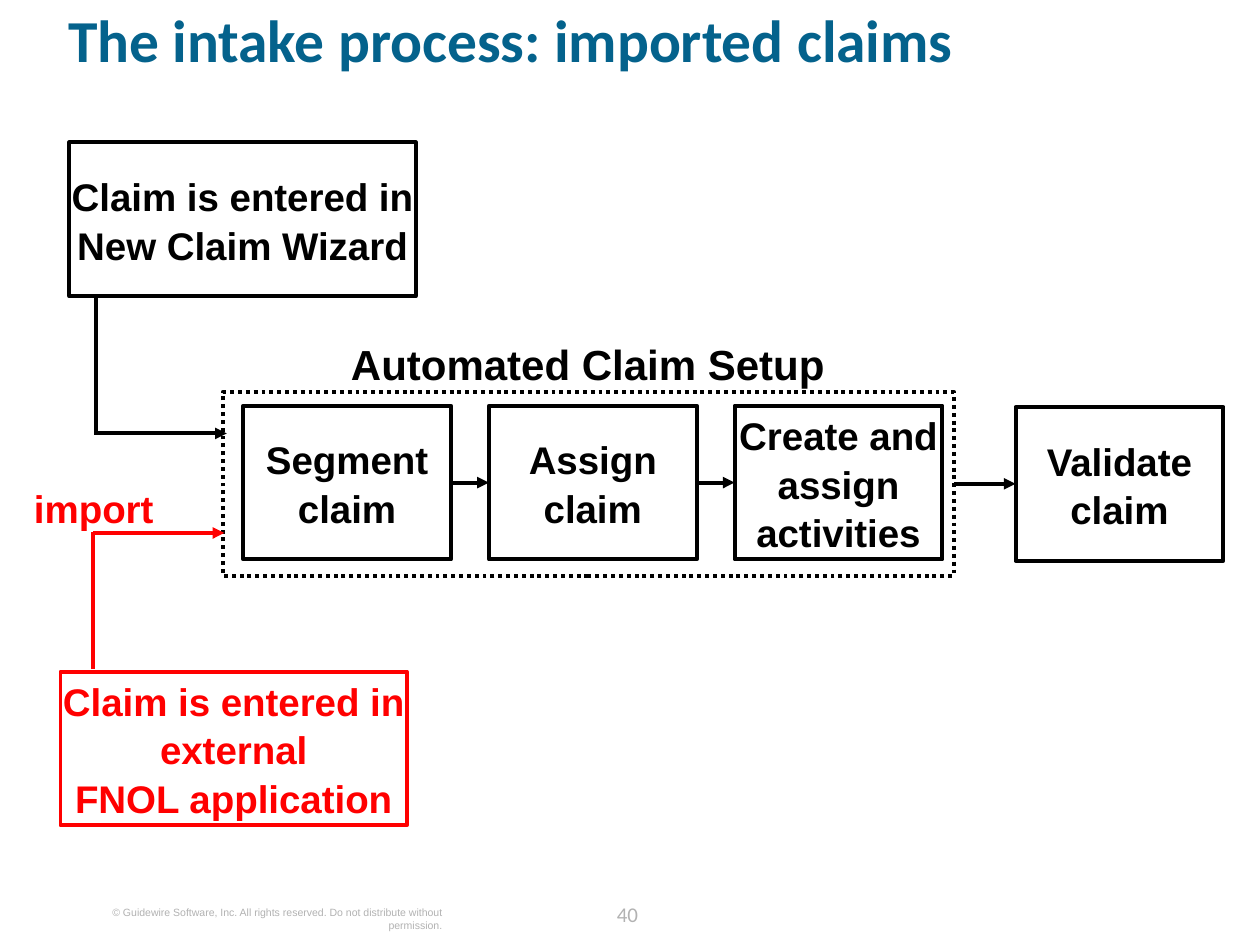
"""Builds the slide on the intake process for imported claims."""
from lxml import etree
from pptx import Presentation
from pptx.dml.color import RGBColor
from pptx.enum.dml import MSO_LINE
from pptx.enum.shapes import MSO_CONNECTOR, MSO_SHAPE
from pptx.enum.text import MSO_ANCHOR, PP_ALIGN
from pptx.oxml.ns import qn
from pptx.util import Inches, Pt

RECTANGLE = MSO_SHAPE.RECTANGLE
STRAIGHT = MSO_CONNECTOR.STRAIGHT
DOTTED = MSO_LINE.ROUND_DOT
TOP, MIDDLE = MSO_ANCHOR.TOP, MSO_ANCHOR.MIDDLE
LEFT, CENTER, RIGHT = PP_ALIGN.LEFT, PP_ALIGN.CENTER, PP_ALIGN.RIGHT
BLACK = RGBColor(0x00, 0x00, 0x00)
WHITE = RGBColor(0xFF, 0xFF, 0xFF)
RED = RGBColor(0xFF, 0x00, 0x00)
BLUE = RGBColor(0x04, 0x62, 0x8C)
GRAY = RGBColor(0xB2, 0xB2, 0xB2)
LINE_WIDTH = Pt(2.25)
RIGHT_SIDE, LEFT_SIDE = 3, 1


def write(shape, text, size, color, align, anchor=MIDDLE, font="Arial", bold=True, spacing=1.05):
    frame = shape.text_frame
    frame.word_wrap = True
    frame.vertical_anchor = anchor
    frame.margin_left = frame.margin_right = frame.margin_top = frame.margin_bottom = 0
    frame.text = text
    paragraph = frame.paragraphs[0]
    paragraph.alignment = align
    paragraph.line_spacing = spacing
    for run in paragraph.runs:
        run.font.name = font
        run.font.size = Pt(size)
        run.font.bold = bold
        run.font.color.rgb = color


def draw_line(start, end, color=BLACK, arrow=True):
    connector = slide.shapes.add_connector(
        STRAIGHT, *(Inches(value) for value in start + end))
    connector.line.color.rgb = color
    connector.line.width = LINE_WIDTH
    if arrow:
        etree.SubElement(connector.line._get_or_add_ln(), qn("a:tailEnd"), type="triangle")
    etree.SubElement(connector._element.spPr, qn("a:effectLst"))
    return connector


prs = Presentation()
prs.slide_width, prs.slide_height = Inches(10), Inches(7.5)
slide = prs.slides.add_slide(prs.slide_layouts[5])

title = slide.shapes.title
title.left, title.top, title.width, title.height = (
    Inches(0.54), Inches(0.13), Inches(9.1), Inches(0.81))
write(title, "The intake process: imported claims", 34, BLUE, LEFT, TOP, "Calibri", spacing=0.8)

setup = slide.shapes.add_shape(RECTANGLE, Inches(1.77), Inches(3.11), Inches(5.8), Inches(1.46))
setup.shadow.inherit = False
setup.fill.background()
setup.line.color.rgb = BLACK
setup.line.width = LINE_WIDTH
setup.line.dash_style = DOTTED

STEPS = [
    ("Claim is entered in New Claim Wizard", 0.55, 1.13, 2.75, BLACK),
    ("Claim is entered in external\vFNOL application", 0.48, 5.33, 2.75, RED),
    ("Segment\vclaim", 1.93, 3.22, 1.65, BLACK),
    ("Assign\vclaim", 3.88, 3.22, 1.65, BLACK),
    ("Create and assign activities", 5.83, 3.22, 1.65, BLACK),
    ("Validate\vclaim", 8.06, 3.23, 1.65, BLACK),
]
steps = []
for text, left, top, width, color in STEPS:
    step = slide.shapes.add_shape(
        RECTANGLE, Inches(left), Inches(top), Inches(width), Inches(1.22))
    step.shadow.inherit = False
    step.fill.solid()
    step.fill.fore_color.rgb = WHITE
    step.line.color.rgb = color
    step.line.width = LINE_WIDTH
    write(step, text, 22, color, CENTER)
    steps.append(step)
wizard, external, segment, assign, activities, validate = steps

for source, target in [(segment, assign), (assign, activities), (setup, validate)]:
    arrow = draw_line((0, 0), (1, 0))
    arrow.begin_connect(source, RIGHT_SIDE)
    arrow.end_connect(target, LEFT_SIDE)

draw_line((0.76, 2.35), (0.76, 3.45), arrow=False)
draw_line((0.75, 3.44), (1.8, 3.44))
draw_line((0.74, 5.31), (0.74, 4.22), RED, arrow=False)
draw_line((0.74, 4.23), (1.78, 4.23), RED)

COPYRIGHT = ("© Guidewire Software, Inc. All rights reserved. "
             "Do not distribute without permission.")
LABELS = [
    ("Automated Claim Setup", 2.48, 2.69, 4.37, 0.4, 24, BLACK, CENTER, TOP, "Arial", True),
    ("import", 0.27, 3.85, 1.07, 0.37, 22, RED, LEFT, TOP, "Arial", True),
    (COPYRIGHT, 0.61, 7.19, 2.9, 0.2, 6, GRAY, RIGHT, TOP, "Arial", False),
    ("40", 4.73, 7.13, 0.5, 0.25, 12, GRAY, CENTER, MIDDLE, "Calibri", False),
]
for text, left, top, width, height, size, color, align, anchor, font, bold in LABELS:
    label = slide.shapes.add_textbox(Inches(left), Inches(top), Inches(width), Inches(height))
    write(label, text, size, color, align, anchor, font, bold, 1.0)

prs.save("out.pptx")
